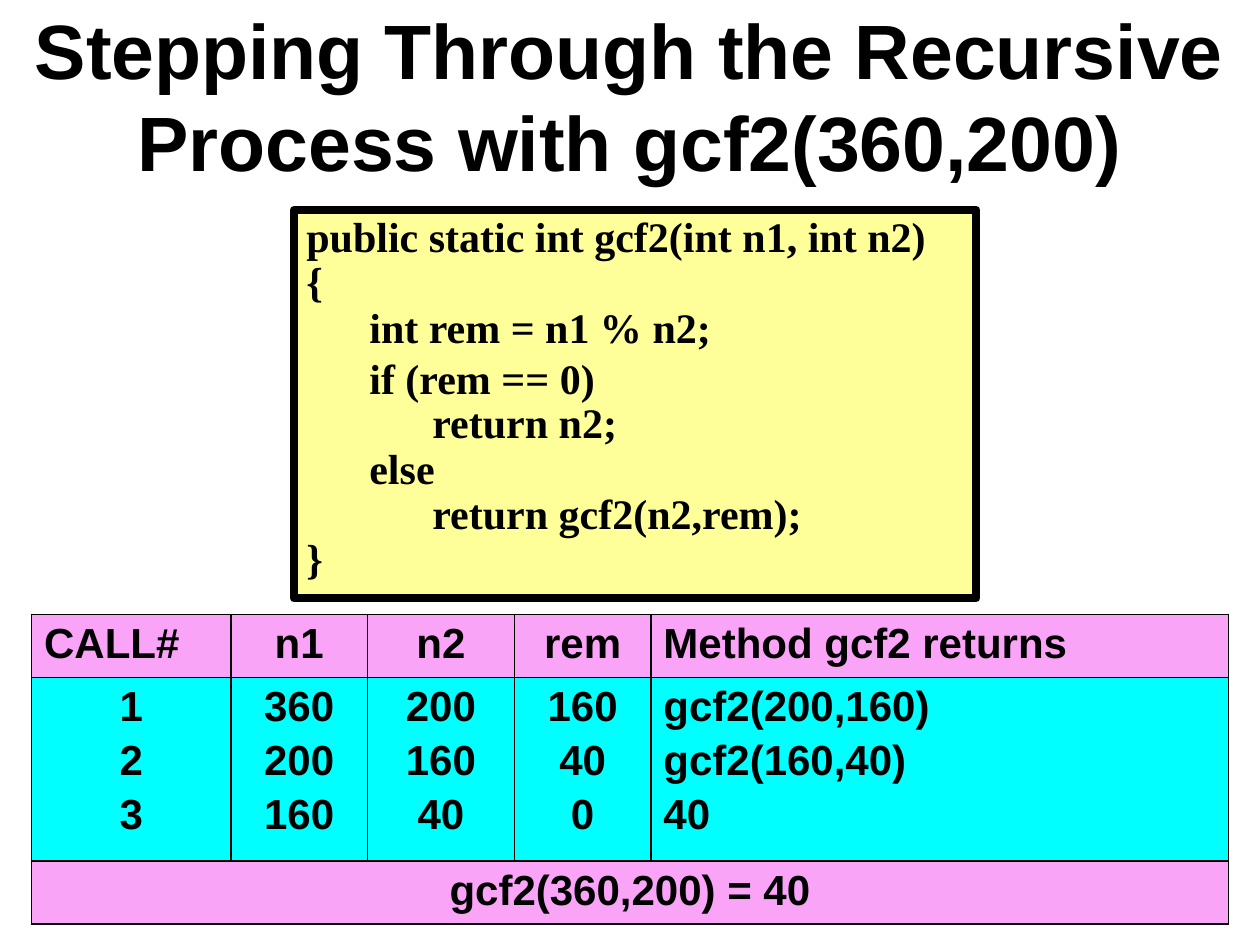
from lxml import etree
from pptx import Presentation
from pptx import util as u
from pptx.dml.color import RGBColor
from pptx.enum import shapes, text
from pptx.oxml import ns

PX = 9525
BLACK = RGBColor(0x00, 0x00, 0x00)
YELLOW = RGBColor(0xFF, 0xFF, 0x99)
PINK = RGBColor(0xFA, 0xA4, 0xF8)
CYAN = RGBColor(0x00, 0xFF, 0xFF)

LEFT, CENTER = text.PP_ALIGN.LEFT, text.PP_ALIGN.CENTER
TITLE_FONT = {"name": "Arial", "size": u.Pt(44), "bold": True}
TABLE_FONT = {"name": "Arial", "size": u.Pt(24), "bold": True}
CODE_FONT = {"name": "Times New Roman", "size": u.Pt(24), "bold": True}

TITLE = "Stepping Through the Recursive Process with gcf2(360,200)"
CODE = [
    "public static int gcf2(int n1, int n2)",
    "{",
    "\tint rem = n1 % n2;",
    "\tif (rem == 0)",
    "\t\treturn n2;",
    "\telse",
    "\t\treturn gcf2(n2,rem);",
    "}",
]
HEADERS = ["CALL#", "n1", "n2", "rem", "Method gcf2 returns"]
CALLS = [
    ["1", "360", "200", "160", "gcf2(200,160)"],
    ["2", "200", "160", "40", "gcf2(160,40)"],
    ["3", "160", "40", "0", "40"],
]
RESULT = "gcf2(360,200) = 40"
COL_WIDTHS = [152, 104, 112, 104, 440]
ROW_HEIGHTS = [48, 140, 48]


def px(*lengths):
    """Turn whole pixels into EMU."""
    return [u.Emu(n * PX) for n in lengths]


def apply_format(obj, fmt):
    """Set each attribute named in the format dict."""
    for name, value in fmt.items():
        setattr(obj, name, value)


def add_tab_stops(p, *stops):
    """Give a paragraph left tab stops at pixel positions."""
    tabs = etree.SubElement(p._p.get_or_add_pPr(), ns.qn("a:tabLst"))
    for pos in px(*stops):
        etree.SubElement(tabs, ns.qn("a:tab"), pos=str(pos), algn="l")


def write_lines(tf, lines, font, tabs=(), gap=0, **fmt):
    """Write one formatted paragraph per line."""
    for i, line in enumerate(lines):
        p = tf.add_paragraph() if i else tf.paragraphs[0]
        if tabs:
            add_tab_stops(p, *tabs)
        apply_format(p, fmt)
        if i and gap:
            p.space_before = u.Pt(gap)
        r = p.add_run()
        r.text = line
        apply_format(r.font, font)
        r.font.color.rgb = BLACK


def add_title(s):
    """Add the centred title across the top."""
    tf = s.shapes.add_textbox(*px(0, 0, 960, 144)).text_frame
    apply_format(tf, {"word_wrap": True, "vertical_anchor": text.MSO_ANCHOR.MIDDLE})
    write_lines(tf, [TITLE], TITLE_FONT, alignment=CENTER)


def add_code_box(s):
    """Add the framed method listing."""
    sp = s.shapes.add_shape(shapes.MSO_SHAPE.RECTANGLE, *px(224, 160, 520, 296))
    sp.shadow.inherit = False
    sp.fill.solid()
    sp.fill.fore_color.rgb = YELLOW
    sp.line.color.rgb = BLACK
    sp.line.width = u.Pt(4.5)
    tf = sp.text_frame
    apply_format(tf, {"word_wrap": True, "vertical_anchor": text.MSO_ANCHOR.TOP})
    write_lines(tf, CODE, CODE_FONT, tabs=(48, 96), alignment=LEFT, line_spacing=0.9)
    tf.paragraphs[CODE.index("\tif (rem == 0)")].line_spacing = 1.0


def style_cell(cell, color):
    """Give a cell black borders and a solid fill."""
    tc_pr = cell._tc.get_or_add_tcPr()
    for side in ("lnL", "lnR", "lnT", "lnB"):
        ln = etree.SubElement(tc_pr, ns.qn(f"a:{side}"), w=str(u.Pt(1)))
        fill = etree.SubElement(ln, ns.qn("a:solidFill"))
        etree.SubElement(fill, ns.qn("a:srgbClr"), val=str(BLACK))
    cell.fill.solid()
    cell.fill.fore_color.rgb = color


def add_call_table(s):
    """Add the table that traces each recursive call."""
    frame = s.shapes.add_table(
        len(ROW_HEIGHTS), len(COL_WIDTHS),
        *px(24, 468, sum(COL_WIDTHS), sum(ROW_HEIGHTS)))
    table = frame.table
    for col, width in zip(table.columns, px(*COL_WIDTHS)):
        col.width = width
    for row, height, color in zip(table.rows, px(*ROW_HEIGHTS), (PINK, CYAN, PINK)):
        row.height = height
        for cell in row.cells:
            style_cell(cell, color)
    last = len(HEADERS) - 1
    for c, (header, values) in enumerate(zip(HEADERS, zip(*CALLS))):
        head_align = LEFT if c in (0, last) else CENTER
        body_align = LEFT if c == last else CENTER
        write_lines(table.cell(0, c).text_frame, [header], TABLE_FONT, alignment=head_align)
        write_lines(table.cell(1, c).text_frame, values, TABLE_FONT, gap=4, alignment=body_align)
    table.cell(2, 0).merge(table.cell(2, last))
    write_lines(table.cell(2, 0).text_frame, [RESULT], TABLE_FONT, alignment=CENTER)


def main():
    """Build the slide and save it."""
    prs = Presentation()
    prs.slide_width, prs.slide_height = px(960, 720)
    s = prs.slides.add_slide(prs.slide_layouts[6])
    add_title(s)
    add_code_box(s)
    add_call_table(s)
    prs.save("out.pptx")


if __name__ == "__main__":
    main()
